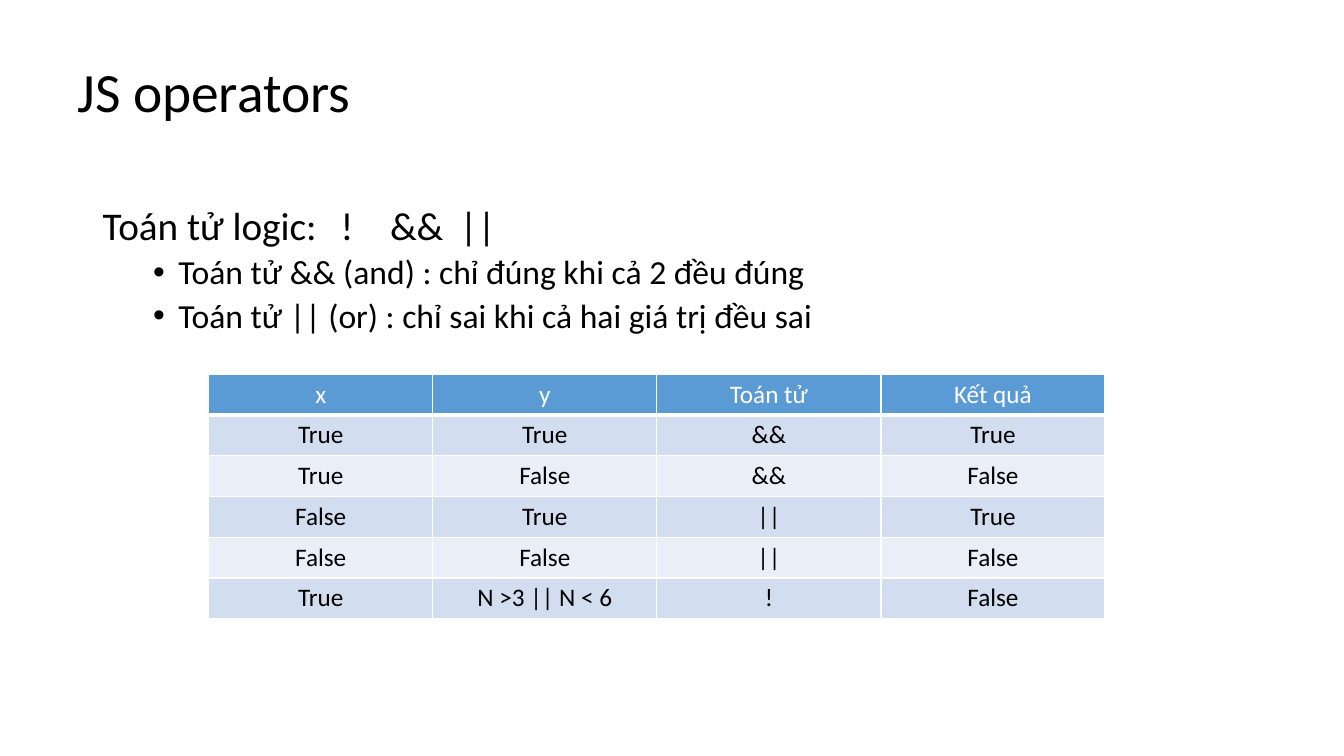
from lxml import etree
from pptx import Presentation
from pptx.dml.color import RGBColor
from pptx.enum.text import MSO_ANCHOR, PP_ALIGN
from pptx.oxml.ns import qn
from pptx.util import Inches, Pt

CENTER = PP_ALIGN.CENTER
MIDDLE = MSO_ANCHOR.MIDDLE
TOP = MSO_ANCHOR.TOP

FONT = "Calibri"
BLACK = RGBColor(0x00, 0x00, 0x00)
WHITE = RGBColor(0xFF, 0xFF, 0xFF)
HEADER_BLUE = RGBColor(0x5B, 0x9B, 0xD5)
BANDS = (RGBColor(0xEA, 0xEF, 0xF7), RGBColor(0xD2, 0xDE, 0xEF))

OPERATOR_TABS = (2.36, 2.85, 3.54)
BULLETS = (
    "Toán tử && (and) : chỉ đúng khi cả 2 đều đúng",
    "Toán tử || (or) : chỉ sai khi cả hai giá trị đều sai",
)
TRUTH_TABLE = (
    ("x", "y", "Toán tử", "Kết quả"),
    ("True", "True", "&&", "True"),
    ("True", "False", "&&", "False"),
    ("False", "True", "||", "True"),
    ("False", "False", "||", "False"),
    ("True", "N >3 || N < 6", "!", "False"),
)


def write(p, text, size, color=BLACK, align=None, line=None, before=None):
    """Put formatted text into a paragraph."""
    r = p.add_run()
    r.text = text
    r.font.name = FONT
    r.font.size = Pt(size)
    r.font.bold = False
    r.font.color.rgb = color
    p.alignment = align
    p.line_spacing = line
    if before is not None:
        p.space_before = Pt(before)


def add_text_frame(s, left, top, width, height, anchor=TOP):
    """Add a wrapping text box and return its text frame."""
    tf = s.shapes.add_textbox(
        Inches(left), Inches(top), Inches(width), Inches(height)).text_frame
    tf.word_wrap = True
    tf.vertical_anchor = anchor
    return tf


def set_bullet(p, left, hanging):
    """Give a second-level paragraph a hanging round bullet."""
    p.level = 1
    pPr = p._p.get_or_add_pPr()
    pPr.set("marL", str(Inches(left)))
    pPr.set("indent", str(-Inches(hanging)))
    etree.SubElement(pPr, qn("a:buFont")).set("typeface", "Arial")
    etree.SubElement(pPr, qn("a:buChar")).set("char", "•")


def set_tabs(p, positions):
    """Set left tab stops, in inches."""
    tabs = etree.SubElement(p._p.get_or_add_pPr(), qn("a:tabLst"))
    for position in positions:
        etree.SubElement(tabs, qn("a:tab"), pos=str(Inches(position)), algn="l")


def set_borders(cell, color, bottom):
    """Draw 1 pt cell borders, with a chosen bottom width."""
    tcPr = cell._tc.get_or_add_tcPr()
    for side, width in (("L", 1), ("R", 1), ("T", 1), ("B", bottom)):
        ln = etree.SubElement(tcPr, qn("a:ln" + side), w=str(Pt(width)))
        fill = etree.SubElement(ln, qn("a:solidFill"))
        etree.SubElement(fill, qn("a:srgbClr")).set("val", str(color))


def add_banded_table(s, rows, left, top, width, row_height):
    """Add a centred table with a header row and banded body rows."""
    table = s.shapes.add_table(
        len(rows), len(rows[0]), Inches(left), Inches(top),
        Inches(width), Inches(row_height * len(rows))).table
    for i, row in enumerate(rows):
        header = i == 0
        for j, text in enumerate(row):
            cell = table.cell(i, j)
            cell.vertical_anchor = MIDDLE
            set_borders(cell, WHITE, bottom=3 if header else 1)
            cell.fill.solid()
            cell.fill.fore_color.rgb = HEADER_BLUE if header else BANDS[i % 2]
            write(cell.text_frame.paragraphs[0], text, 18,
                  color=WHITE if header else BLACK, align=CENTER)


def main():
    """Build the operators slide."""
    prs = Presentation()
    prs.slide_width, prs.slide_height = Inches(13.33), Inches(7.5)
    s = prs.slides.add_slide(prs.slide_layouts[6])

    title = add_text_frame(s, 0.67, 0.67, 10.4, 0.53, anchor=MIDDLE)
    write(title.paragraphs[0], "JS operators", 39.6, line=0.9)

    body = add_text_frame(s, 0.92, 2, 11.5, 4.76)
    p = body.paragraphs[0]
    write(p, "Toán tử logic:\t!\t&&\t||", 28, line=0.9, before=10)
    set_tabs(p, OPERATOR_TABS)
    for text in BULLETS:
        p = body.add_paragraph()
        write(p, text, 24, line=0.9, before=5)
        set_bullet(p, 0.75, 0.25)

    add_banded_table(s, TRUTH_TABLE, 2.07, 3.71, 8.89, 0.405)
    prs.save("out.pptx")


main()
